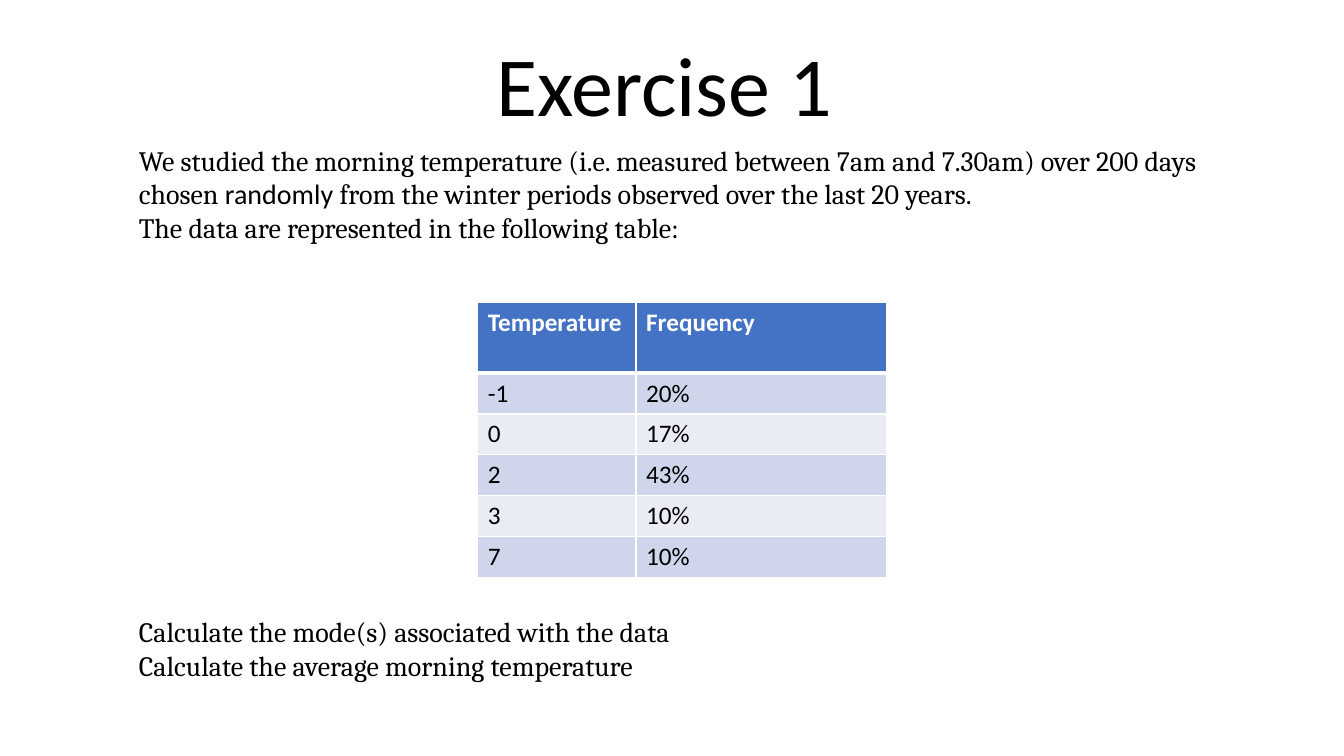
from lxml.etree import SubElement
from pptx import Presentation
from pptx.dml.color import RGBColor
from pptx.enum.text import MSO_ANCHOR, PP_ALIGN
from pptx.oxml.ns import qn
from pptx.util import Cm, Pt

COLORS = {
    "text": "000000",
    "white": "FFFFFF",
    "header": "4472C4",
    "odd_row": "CFD5EA",
    "even_row": "E9EBF5",
}
ROWS = [
    ("Temperature", "Frequency"),
    ("-1", "20%"),
    ("0", "17%"),
    ("2", "43%"),
    ("3", "10%"),
    ("7", "10%"),
]
INTRODUCTION = [
    [
        ("We studied the morning temperature (i.e. measured between 7am and 7.30am) "
         "over 200 days chosen ", "Cambria"),
        ("randomly ", "Calibri"),
        ("from the winter periods observed over the last 20 years.", "Cambria"),
    ],
    [("The data are represented in the following table:", "Cambria")],
]
QUESTIONS = [
    [("Calculate the mode(s) associated with the data", "Cambria")],
    [("Calculate the average morning temperature", "Cambria")],
]


def add_span(para, text, size, font="Calibri", color="text", bold=False):
    span = para.add_run()
    span.text = text
    span.font.name = font
    span.font.size = Pt(size)
    span.font.bold = bold
    span.font.color.rgb = RGBColor.from_string(COLORS[color])


def add_frame(page, left, top, width, height):
    frame = page.shapes.add_textbox(Cm(left), Cm(top), Cm(width), Cm(height)).text_frame
    frame.word_wrap = True
    return frame


def add_title(page, left, top, width, height):
    frame = add_frame(page, left, top, width, height)
    frame.vertical_anchor = MSO_ANCHOR.BOTTOM
    para = frame.paragraphs[0]
    para.alignment = PP_ALIGN.CENTER
    para.line_spacing = 0.9
    add_span(para, "Exercise 1", 60)


def add_statement(page, left, top, width, height, table_gap):
    """Introduction and questions, with a gap between them for the table."""
    frame = add_frame(page, left, top, width, height)
    for index, spans in enumerate(INTRODUCTION + QUESTIONS):
        para = frame.paragraphs[0] if index == 0 else frame.add_paragraph()
        if index == len(INTRODUCTION):
            para.space_before = Pt(table_gap)
        for text, font in spans:
            add_span(para, text, 20, font)


def add_border(cell, side, points):
    line = SubElement(cell._tc.get_or_add_tcPr(), qn(f"a:{side}"), w=str(Pt(points)))
    fill = SubElement(line, qn("a:solidFill"))
    SubElement(fill, qn("a:srgbClr"), val=COLORS["white"])


def add_frequency_table(page, left, top, widths, header_height, row_height):
    height = header_height + row_height * (len(ROWS) - 1)
    table = page.shapes.add_table(
        len(ROWS), len(widths), Cm(left), Cm(top), Cm(sum(widths)), Cm(height)
    ).table
    for column, width in zip(table.columns, widths):
        column.width = Cm(width)
    for row_index, values in enumerate(ROWS):
        is_header = row_index == 0
        table.rows[row_index].height = Cm(header_height if is_header else row_height)
        band = "header" if is_header else "odd_row" if row_index % 2 else "even_row"
        for column_index, value in enumerate(values):
            cell = table.cell(row_index, column_index)
            # Borders come before the fill in the cell properties
            add_border(cell, "lnL", 1)
            add_border(cell, "lnR", 1)
            add_border(cell, "lnT", 3 if row_index == 1 else 1)
            add_border(cell, "lnB", 3 if is_header else 1)
            cell.fill.solid()
            cell.fill.fore_color.rgb = RGBColor.from_string(COLORS[band])
            add_span(cell.text_frame.paragraphs[0], value, 18,
                     color="white" if is_header else "text", bold=is_header)


def main():
    deck = Presentation()
    deck.slide_width, deck.slide_height = Cm(33.87), Cm(19.05)
    page = deck.slides.add_slide(deck.slide_layouts[6])
    add_title(page, 4.04, 0.08, 25.4, 3.43)
    add_statement(page, 3.25, 3.48, 27.89, 14.2, table_gap=265)
    add_frequency_table(page, 12.04, 7.62, (3.99, 6.32), 1.78, 1.03)
    deck.save("out.pptx")


if __name__ == "__main__":
    main()
